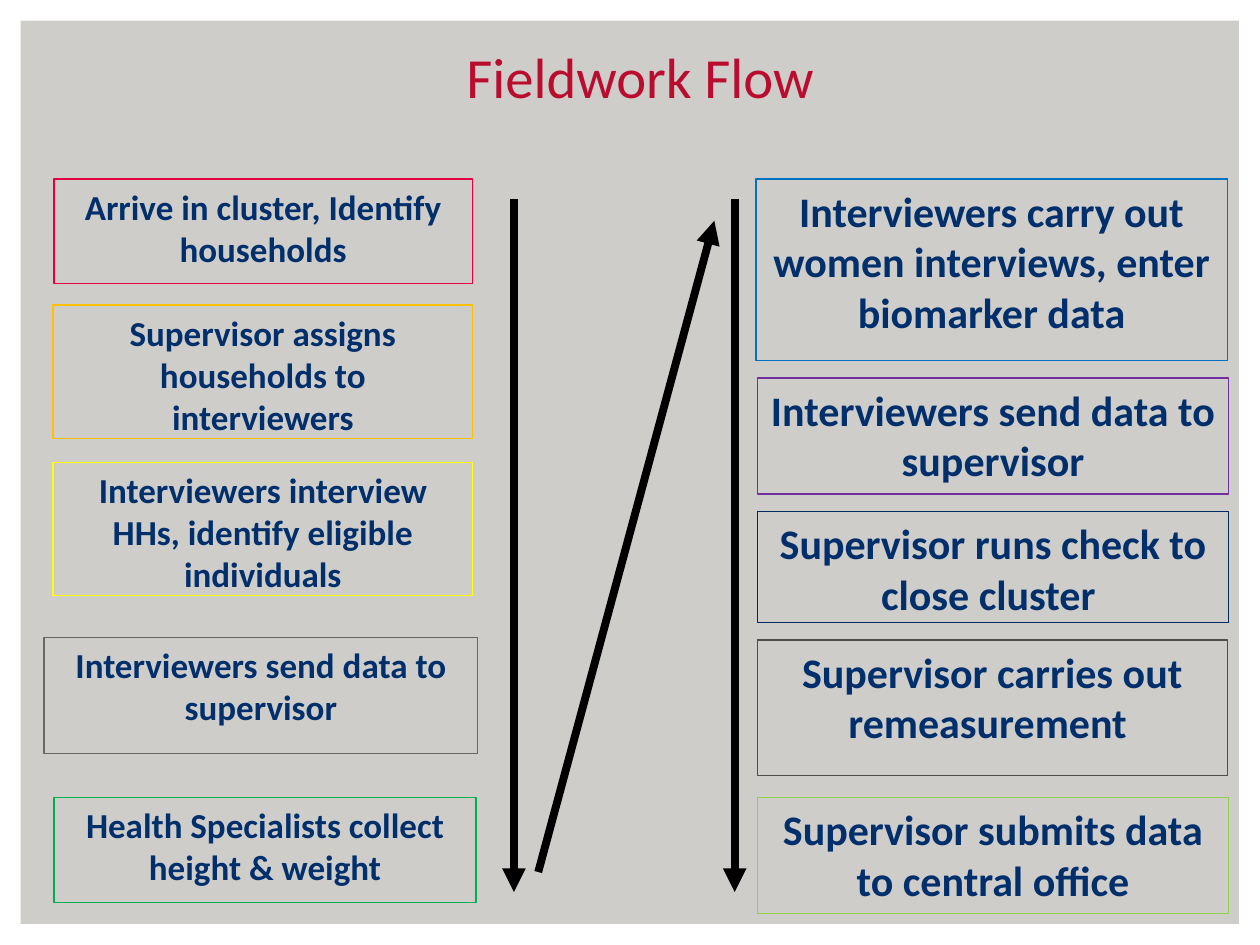
from lxml.etree import SubElement
from pptx import Presentation
from pptx.dml.color import RGBColor
from pptx.enum.shapes import MSO_CONNECTOR as Link, MSO_SHAPE as Shape
from pptx.enum.text import MSO_ANCHOR as Anchor, MSO_AUTO_SIZE as Fit, PP_ALIGN as Align
from pptx.oxml.ns import qn
from pptx.util import Cm, Pt


def paint(color, value):
    color.rgb = RGBColor.from_string(value)


def write(frame, text, size, value, bold):
    frame.word_wrap = True
    frame.auto_size = Fit.NONE
    par = frame.paragraphs[0]
    par.text = text
    par.alignment = Align.CENTER
    par.font.name = "Calibri"
    par.font.size = Pt(size)
    par.font.bold = bold
    paint(par.font.color, value)


deck = Presentation()
deck.slide_width, deck.slide_height = Cm(25.4), Cm(19.05)
slide = deck.slides.add_slide(deck.slide_layouts[5])
shapes = slide.shapes

# Background and white border
back = slide.background.fill
back.solid()
paint(back.fore_color, "CFCDC9")
border = shapes.add_shape(Shape.FRAME, 0, 0, deck.slide_width, deck.slide_height)
border.adjustments[0] = 0.022
border.shadow.inherit = False
border.fill.solid()
paint(border.fill.fore_color, "FFFFFF")
border.line.fill.background()

# Title
title = shapes.title
title.left, title.top, title.width, title.height = Cm(0.84), Cm(0.64), Cm(24.13), Cm(1.7)
write(title.text_frame, "Fieldwork Flow", 32.4, "BA0C2F", False)
title.text_frame.vertical_anchor = Anchor.BOTTOM

# Steps by column: left, top, width, height, outline, text
first = [
    (1.09, 3.61, 8.43, 2.11, "E10040", "Arrive in cluster, Identify households"),
    (1.07, 6.15, 8.46, 2.69, "FFC000", "Supervisor assigns households to interviewers"),
    (1.07, 9.32, 8.46, 2.69, "FFFF00", "Interviewers interview HHs, identify eligible individuals"),
    (0.89, 12.85, 8.74, 2.34, "666666", "Interviewers send data to supervisor"),
    (1.09, 16.08, 8.51, 2.11, "00B050", "Health Specialists collect height & weight"),
]
second = [
    (15.24, 3.61, 9.5, 3.66, "0070C0", "Interviewers carry out women interviews, enter biomarker data"),
    (15.27, 7.62, 9.5, 2.34, "7030A0", "Interviewers send data to supervisor"),
    (15.27, 10.31, 9.5, 2.24, "002A61", "Supervisor runs check to close cluster "),
    (15.27, 12.9, 9.47, 2.74, "514B4A", "Supervisor carries out remeasurement "),
    (15.27, 16.08, 9.5, 2.34, "92D050", "Supervisor submits data to central office"),
]
for steps, size in ((first, 20), (second, 24)):
    for left, top, width, height, edge, text in steps:
        box = shapes.add_shape(Shape.RECTANGLE, Cm(left), Cm(top), Cm(width), Cm(height))
        box.shadow.inherit = False
        box.fill.background()
        box.line.width = Pt(0.75)
        paint(box.line.color, edge)
        write(box.text_frame, text, size, "002F6C", True)
        box.text_frame.vertical_anchor = Anchor.TOP

# Arrows: down each column, and across from the first to the second
arrows = [
    (10.36, 4.01, 10.36, 17.98),
    (14.81, 4.01, 14.81, 17.98),
    (10.85, 17.58, 14.4, 4.45),
]
for ends in arrows:
    arrow = shapes.add_connector(Link.STRAIGHT, *map(Cm, ends))
    arrow.line.width = Pt(4.5)
    paint(arrow.line.color, "000000")
    SubElement(arrow.line._get_or_add_ln(), qn("a:tailEnd"), type="triangle")
    SubElement(arrow._element.spPr, qn("a:effectLst"))

deck.save("out.pptx")
